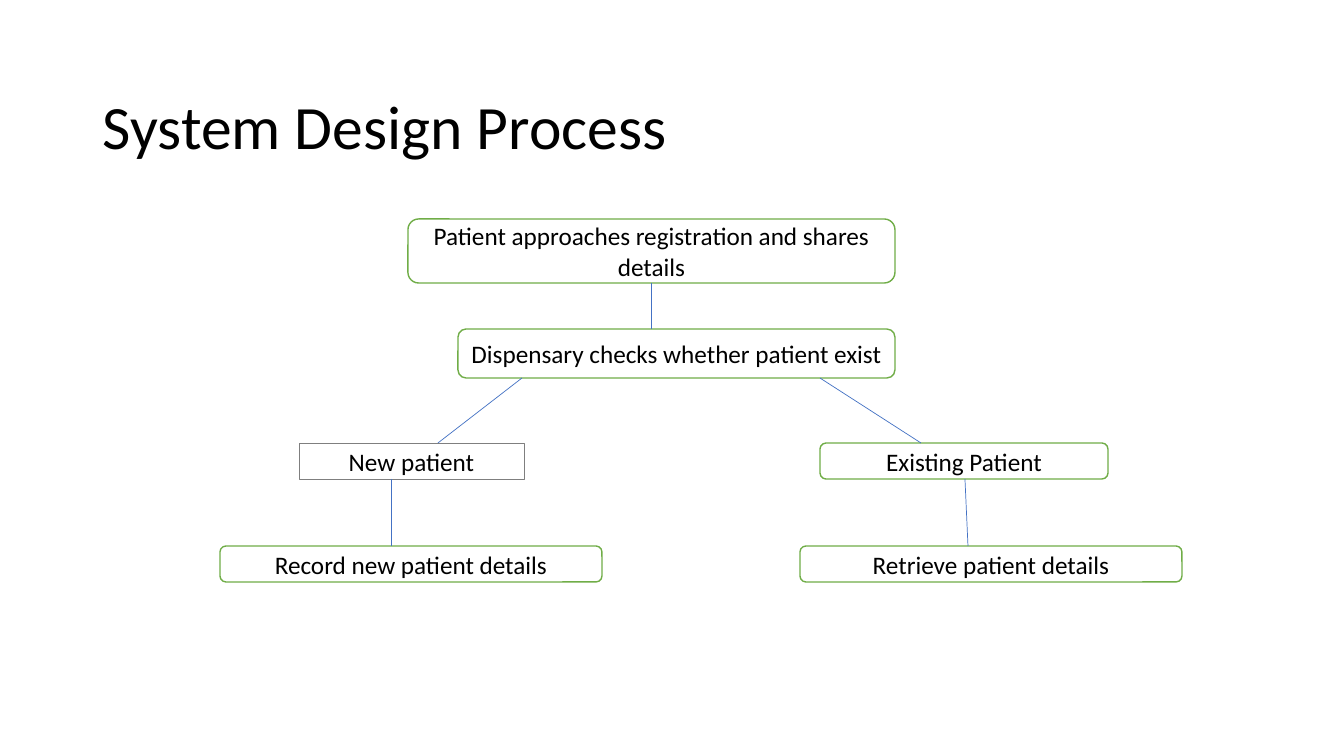
from pptx import Presentation
from pptx.dml.color import RGBColor
from pptx.enum.shapes import MSO_CONNECTOR as Link, MSO_SHAPE as Kind
from pptx.enum.text import MSO_ANCHOR as Anchor, PP_ALIGN as Align
from pptx.util import Pt
from lxml.etree import SubElement
from pptx.oxml.ns import qn

SCALE = 914400 / 100.8
ROUND = (Kind.ROUNDED_RECTANGLE, "70AD47", 1)
PLAIN = (Kind.RECTANGLE, "7F7F7F", 0.5)


def px(*nums):
    return [round(num * SCALE) for num in nums]


def color(code):
    return RGBColor.from_string(code)


def write(shape, text, size, align):
    frame = shape.text_frame
    frame.word_wrap = True
    frame.vertical_anchor = Anchor.MIDDLE
    frame.margin_top = frame.margin_bottom = 0
    para = frame.paragraphs[0]
    para.alignment = align
    run = para.add_run()
    run.text = text
    run.font.name = "Calibri"
    run.font.size = Pt(size)
    run.font.color.rgb = color("000000")
    return para


def add_step(slide, box, text, style):
    kind, edge, width = style
    step = slide.shapes.add_shape(kind, *px(*box))
    step.shadow.inherit = False
    step.fill.solid()
    step.fill.fore_color.rgb = color("FFFFFF")
    step.line.color.rgb = color(edge)
    step.line.width = Pt(width)
    write(step, text, 18, Align.CENTER)


def add_link(slide, ends):
    link = slide.shapes.add_connector(Link.STRAIGHT, *px(*ends))
    link.line.color.rgb = color("4472C4")
    link.line.width = Pt(0.5)
    SubElement(link._element.spPr, qn("a:effectLst"))


def add_title(slide, box, text):
    title = slide.shapes.add_textbox(*px(*box))
    write(title, text, 44, Align.LEFT).line_spacing = 0.9


def add_flow(slide, left, top):
    first, check, split, last = 64, 110, 224, 327
    under, below = check + 49, split + 36
    steps = [
        (188, 0, 487, first, "Patient approaches registration and shares details", ROUND),
        (238, check, 437, 49, "Dispensary checks whether patient exist", ROUND),
        (79, split, 225, 36, "New patient", PLAIN),
        (600, split, 288, 36, "Existing Patient", ROUND),
        (0, last, 382, 36, "Record new patient details", ROUND),
        (580, last, 382, 36, "Retrieve patient details", ROUND),
    ]
    links = [
        (431, first, 431, check),
        (302, under, 218, split),
        (600, under, 701, split),
        (171, below, 171, last),
        (745, below, 748, last),
    ]
    for x, y, wide, high, text, style in steps:
        add_step(slide, (left + x, top + y, wide, high), text, style)
    for x, y, end_x, end_y in links:
        add_link(slide, (left + x, top + y, left + end_x, top + end_y))


deck = Presentation()
deck.slide_width, deck.slide_height = px(1344, 756)
slide = deck.slides.add_slide(deck.slide_layouts[6])
add_title(slide, (93, 70, 1159, 119), "System Design Process")
add_flow(slide, 220, 219)
deck.save("out.pptx")
